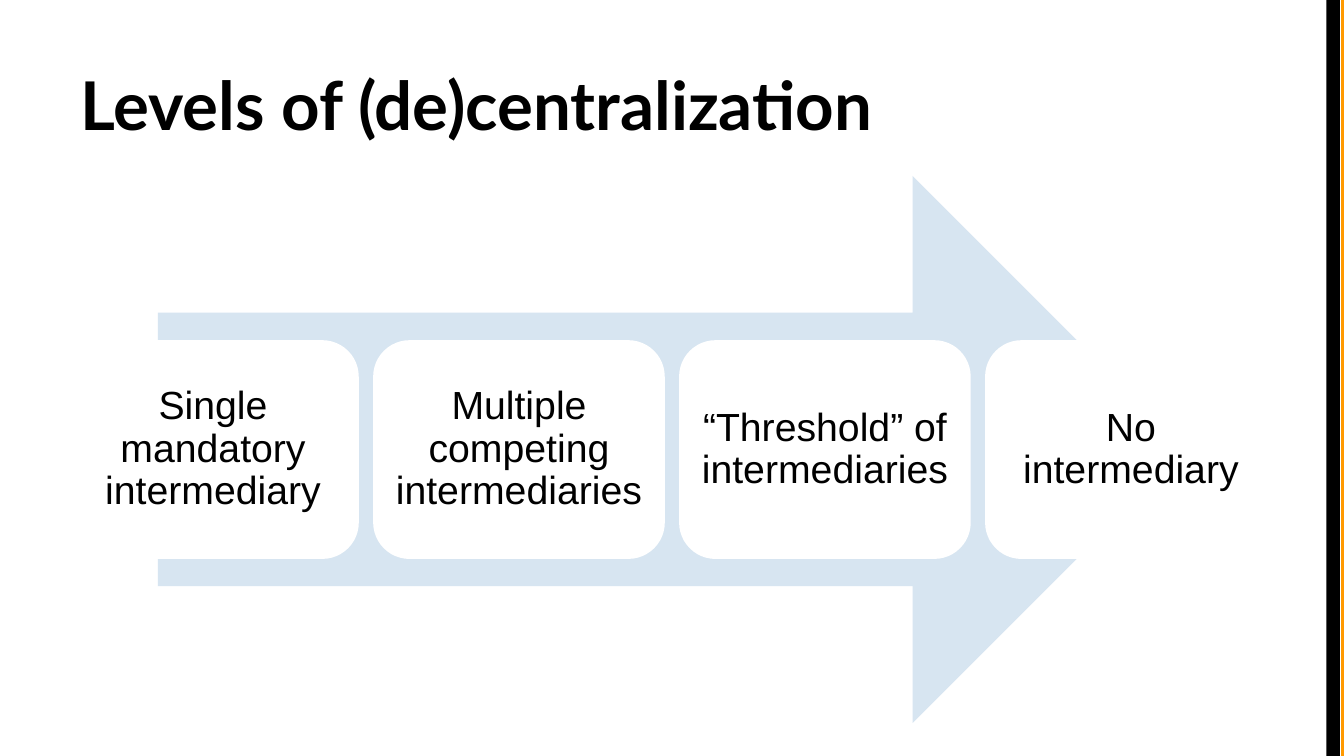
from pptx import Presentation
from pptx.dml.color import RGBColor
from pptx.enum.shapes import MSO_SHAPE as Shape
from pptx.enum.text import MSO_ANCHOR as Anchor, PP_ALIGN as Align
from pptx.util import Inches, Pt

# Content
TITLE = "Levels of (de)centralization"
LEVELS = [
    "Single mandatory intermediary",
    "Multiple competing intermediaries",
    "“Threshold” of intermediaries",
    "No intermediary",
]
COLORS = {"text": "000000", "card": "FFFFFF", "arrow": "D7E5F1",
          "edge": "000000", "accent": "FF9900"}

# Layout in inches, on a 16:9 slide
WIDTH = 10
HEIGHT = WIDTH * 9 / 16
MARGIN = 0.5
CONTENT = WIDTH - 2 * MARGIN
BAND = 0.1
ARROW_TOP, ARROW_HEIGHT = 1.31, 4.07
ARROW_WIDTH = 0.85 * CONTENT
CARD_WIDTH = 2.17
CARD_HEIGHT = 0.4 * ARROW_HEIGHT
CARD_STEP = (CONTENT - CARD_WIDTH) / (len(LEVELS) - 1)
TEXT_PAD = 0.08


def color(name):
    return RGBColor.from_string(COLORS[name])


def add_block(page, kind, left, top, width, height, fill):
    block = page.shapes.add_shape(
        kind, Inches(left), Inches(top), Inches(width), Inches(height))
    block.shadow.inherit = False
    block.fill.solid()
    block.fill.fore_color.rgb = color(fill)
    block.line.fill.background()
    return block


def add_text(page, left, top, width, height, text, font, size, anchor, inset,
             bold=False):
    box = page.shapes.add_textbox(
        Inches(left), Inches(top), Inches(width), Inches(height))
    frame = box.text_frame
    frame.word_wrap = True
    frame.vertical_anchor = anchor
    frame.margin_left = frame.margin_right = Inches(inset)
    frame.margin_top = frame.margin_bottom = Inches(inset)
    para = frame.paragraphs[0]
    span = para.add_run()
    span.text = text
    span.font.name = font
    span.font.size = Pt(size)
    span.font.bold = bold
    span.font.color.rgb = color("text")
    return para


deck = Presentation()
deck.slide_width, deck.slide_height = Inches(WIDTH), Inches(HEIGHT)
page = deck.slides.add_slide(deck.slide_layouts[6])

# Bands on the right edge
for left, fill in [(9.98, "accent"), (9.87, "edge")]:
    add_block(page, Shape.RECTANGLE, left, 0, BAND, HEIGHT, fill)

# Title
add_text(page, MARGIN, 0.23, CONTENT, 0.94, TITLE, "Lato", 36,
         Anchor.BOTTOM, 0.1, bold=True)

# Arrow behind the cards
add_block(page, Shape.RIGHT_ARROW, (WIDTH - ARROW_WIDTH) / 2, ARROW_TOP,
          ARROW_WIDTH, ARROW_HEIGHT, "arrow")

# One card per level, centred on the arrow, with its label inside
card_top = ARROW_TOP + (ARROW_HEIGHT - CARD_HEIGHT) / 2
for column, level in enumerate(LEVELS):
    left = MARGIN + column * CARD_STEP
    add_block(page, Shape.ROUNDED_RECTANGLE, left, card_top,
              CARD_WIDTH, CARD_HEIGHT, "card")
    para = add_text(page, left + TEXT_PAD, card_top + TEXT_PAD,
                    CARD_WIDTH - 2 * TEXT_PAD, CARD_HEIGHT - 2 * TEXT_PAD,
                    level, "Arial", 21, Anchor.MIDDLE, 0.08)
    para.alignment = Align.CENTER
    para.line_spacing = 0.9
    para.space_after = Pt(7.3)

deck.save("out.pptx")
